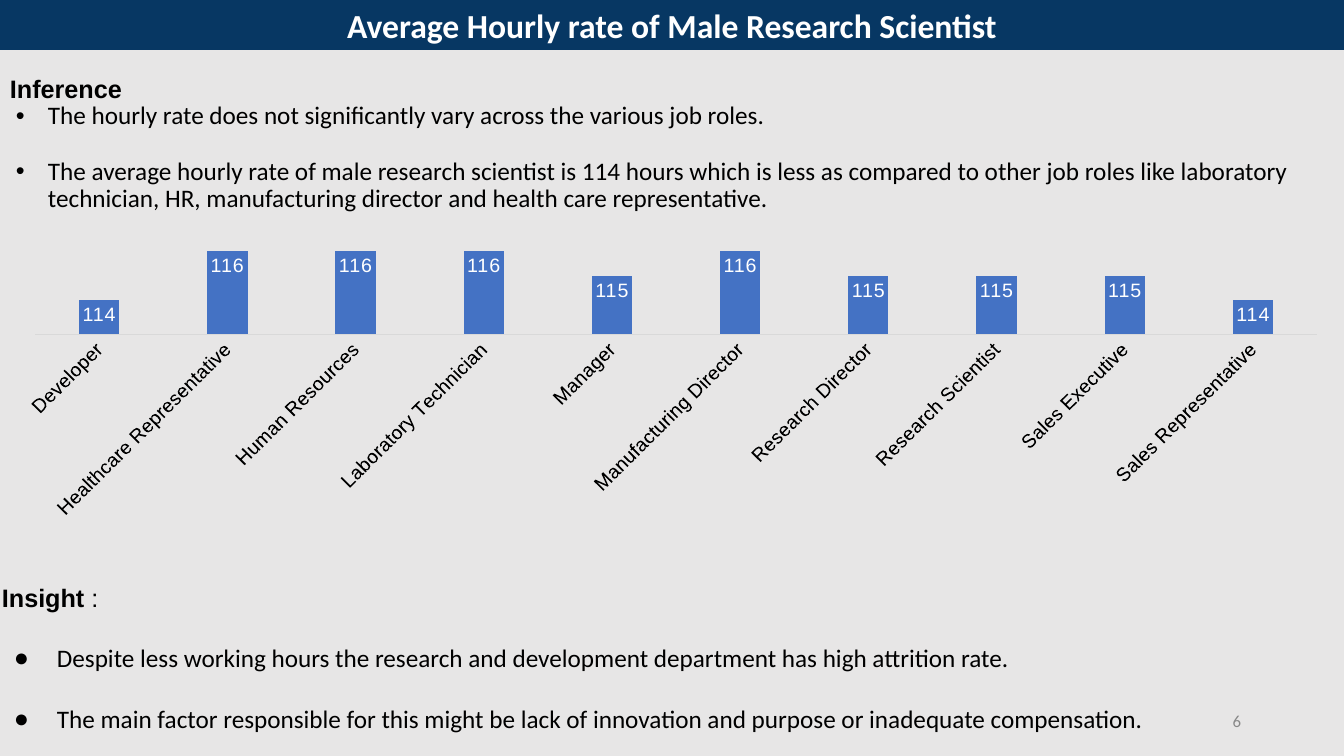
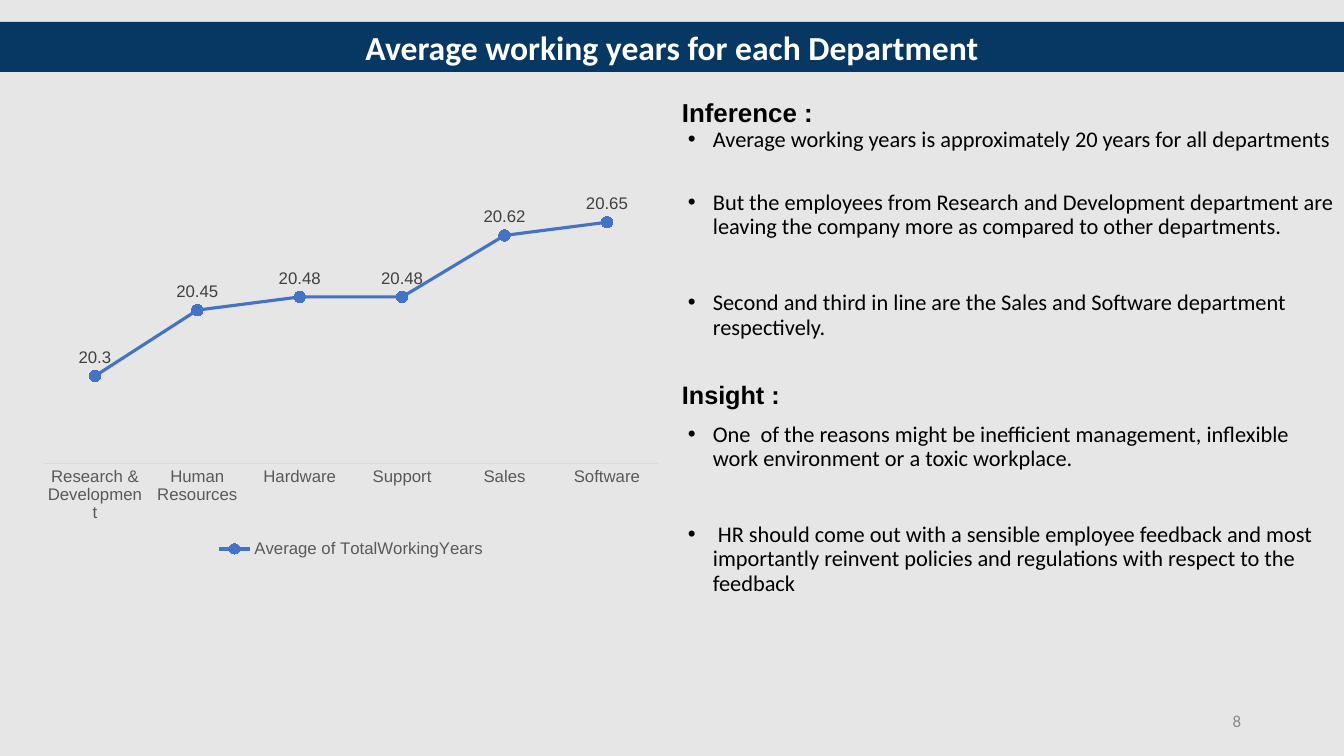
from pptx import Presentation, util as u
from pptx.chart.data import CategoryChartData
from pptx.dml.color import RGBColor
from pptx.enum import chart as c, text as t
from pptx.oxml.ns import qn
from lxml import etree

EMU_PER_PX = 914400 / 100.8
WIDTH, HEIGHT = 1344, 756
BAND_HEIGHT = 50

BACKGROUND = RGBColor(0xE7, 0xE6, 0xE6)
NAVY = RGBColor(0x07, 0x37, 0x63)
BLUE = RGBColor(0x44, 0x72, 0xC4)
WHITE = RGBColor(0xFF, 0xFF, 0xFF)
BLACK = RGBColor(0, 0, 0)
AXIS_LINE = RGBColor(0xD9, 0xD9, 0xD9)
LABEL_GRAY = RGBColor(0x59, 0x59, 0x59)
VALUE_GRAY = RGBColor(0x40, 0x40, 0x40)
NUMBER_GRAY = RGBColor(0x88, 0x88, 0x88)


def px(*lengths):
    return [u.Emu(round(length * EMU_PER_PX)) for length in lengths]


def write(frame, content, size, name="Calibri", color=BLACK, bold=False, tail="",
          align=t.PP_ALIGN.LEFT, spacing=1.0, before=0, bullet=None, indent=(0, 0)):
    """Add a paragraph; tail follows in regular weight, indent is (text, bullet) in px."""
    paragraph = frame.paragraphs[0]
    if paragraph.runs:
        paragraph = frame.add_paragraph()
    if bullet:
        text_left, bullet_left = px(*indent)
        properties = paragraph._p.get_or_add_pPr()
        properties.set("marL", str(text_left))
        properties.set("indent", str(bullet_left - text_left))
        bullet_color = etree.SubElement(properties, qn("a:buClr"))
        etree.SubElement(bullet_color, qn("a:srgbClr"), val=str(color))
        etree.SubElement(properties, qn("a:buFont"), typeface="Arial")
        etree.SubElement(properties, qn("a:buChar"), char=bullet)
    paragraph.alignment = align
    paragraph.line_spacing = spacing
    paragraph.space_before = u.Pt(before)
    for part, weight in ((content, bold), (tail, False)):
        if part:
            run = paragraph.add_run()
            run.text = part
            run.font.size, run.font.name, run.font.bold = u.Pt(size), name, weight
            run.font.color.rgb = color


HEADING = dict(size=18, name="Arial", bold=True)
RATE_BULLET = dict(size=18, spacing=0.9, bullet="•", indent=(38, 6))
WIDE_BULLET = dict(size=18, spacing=2.0, bullet="●", indent=(55, 12))
YEARS_BULLET = dict(size=16, spacing=0.9, bullet="•", indent=(31, 6))

SLIDES = [
    dict(
        title="Average Hourly rate of Male Research Scientist", band_top=0, number="6",
        chart_type=c.XL_CHART_TYPE.COLUMN_CLUSTERED, chart_box=(0, 241, 1344, 278),
        series="Series 1", scale=(112.6, 116.2), number_format="0",
        values={"Developer": 114, "Healthcare Representative": 116, "Human Resources": 116,
                "Laboratory Technician": 116, "Manager": 115, "Manufacturing Director": 116,
                "Research Director": 115, "Research Scientist": 115,
                "Sales Executive": 115, "Sales Representative": 114},
        font_size=14, axis_color=BLACK, label_color=WHITE,
        label_position=c.XL_LABEL_POSITION.INSIDE_END,
        texts=[
            ((0, 68, 1344, 153), [
                ("Inference", HEADING),
                ("The hourly rate does not significantly vary across the various job roles.",
                 RATE_BULLET),
                ("The average hourly rate of male research scientist is 114 hours which is less "
                 "as compared to other job roles like laboratory technician, HR, manufacturing "
                 "director and health care representative.", RATE_BULLET | dict(before=20)),
            ]),
            ((-8, 547, 1344, 163), [
                ("Insight", HEADING | dict(tail=" :", spacing=2.0)),
                ("Despite less working hours the research and development department has high "
                 "attrition rate.", WIDE_BULLET),
                ("The main factor responsible for this might be lack of innovation and purpose "
                 "or inadequate compensation.", WIDE_BULLET),
            ]),
        ],
    ),
    dict(
        title="Average working years for each Department", band_top=22, number="8",
        chart_type=c.XL_CHART_TYPE.LINE_MARKERS, chart_box=(31, 193, 640, 369),
        series="Average of TotalWorkingYears", scale=(20.1, 20.7), number_format="General",
        values={"Research & Development": 20.3, "Human Resources": 20.45, "Hardware": 20.48,
                "Support": 20.48, "Sales": 20.62, "Software": 20.65},
        font_size=12, axis_color=LABEL_GRAY, label_color=VALUE_GRAY,
        label_position=c.XL_LABEL_POSITION.ABOVE,
        texts=[
            ((672, 92, 672, 553), [
                ("Inference :", HEADING | dict(size=18.5)),
                ("Average working years is approximately 20 years for all departments",
                 YEARS_BULLET),
                ("But the employees from Research and Development department are leaving the "
                 "company more as compared to other departments.",
                 YEARS_BULLET | dict(before=28)),
                ("Second and third in line are the Sales and Software department respectively.",
                 YEARS_BULLET | dict(before=37)),
                ("Insight :", HEADING | dict(before=28)),
                ("One  of the reasons might be inefficient management, inflexible work "
                 "environment or a toxic workplace.", YEARS_BULLET | dict(before=10)),
                (" HR should come out with a sensible employee feedback and most importantly "
                 "reinvent policies and regulations with respect to the feedback",
                 YEARS_BULLET | dict(before=37)),
            ]),
        ],
    ),
]

presentation = Presentation()
presentation.slide_width, presentation.slide_height = px(WIDTH, HEIGHT)
master_fill = presentation.slide_master.background.fill
master_fill.solid()
master_fill.fore_color.rgb = BACKGROUND
title_only = presentation.slide_layouts[5]

for content in SLIDES:
    slide = presentation.slides.add_slide(title_only)

    title = slide.shapes.title
    title.left, title.top, title.width, title.height = px(
        0, content["band_top"], WIDTH, BAND_HEIGHT)
    title.fill.solid()
    title.fill.fore_color.rgb = NAVY
    title.text_frame.auto_size = t.MSO_AUTO_SIZE.NONE
    title.text_frame.vertical_anchor = t.MSO_ANCHOR.MIDDLE
    write(title.text_frame, content["title"], size=24, color=WHITE, bold=True,
          align=t.PP_ALIGN.CENTER)

    chart_data = CategoryChartData(number_format=content["number_format"])
    chart_data.categories = list(content["values"])
    chart_data.add_series(content["series"], list(content["values"].values()))
    chart = slide.shapes.add_chart(
        content["chart_type"], *px(*content["chart_box"]), chart_data).chart
    chart.has_title = False
    chart.has_legend = False
    chart.font.size, chart.font.name = u.Pt(content["font_size"]), "Arial"
    chart.font.color.rgb = content["axis_color"]

    value_axis = chart.value_axis
    value_axis.visible = False
    value_axis.has_major_gridlines = False
    value_axis.minimum_scale, value_axis.maximum_scale = content["scale"]
    category_axis = chart.category_axis
    category_axis.major_tick_mark = c.XL_TICK_MARK.NONE
    category_axis.format.line.color.rgb = AXIS_LINE
    category_axis.format.line.width = u.Pt(0.75)
    axis_font = category_axis.tick_labels.font
    axis_font.size, axis_font.name = u.Pt(content["font_size"]), "Arial"
    axis_font.color.rgb = content["axis_color"]

    plot = chart.plots[0]
    plot.vary_by_categories = False
    plot.has_data_labels = True
    labels = plot.data_labels
    labels.show_value = True
    labels.position = content["label_position"]
    labels.number_format = content["number_format"]
    labels.number_format_is_linked = False
    labels.font.size, labels.font.name = u.Pt(content["font_size"]), "Arial"
    labels.font.color.rgb = content["label_color"]

    series = plot.series[0]
    if content["chart_type"] == c.XL_CHART_TYPE.COLUMN_CLUSTERED:
        plot.gap_width, plot.overlap = 219, -27
        series.format.fill.solid()
        series.format.fill.fore_color.rgb = BLUE
        category_axis._element.find(qn("c:txPr")).find(qn("a:bodyPr")).set("rot", "-2700000")
    else:
        series.smooth = False
        series.format.line.color.rgb = BLUE
        series.format.line.width = u.Pt(2.25)
        series.marker.style, series.marker.size = c.XL_MARKER_STYLE.CIRCLE, 8
        series.marker.format.fill.solid()
        series.marker.format.fill.fore_color.rgb = BLUE
        series.marker.format.line.color.rgb = BLUE
        chart.has_legend = True
        chart.legend.position = c.XL_LEGEND_POSITION.BOTTOM
        chart.legend.include_in_layout = False
        chart.legend.font.size, chart.legend.font.name = u.Pt(12), "Arial"
        chart.legend.font.color.rgb = LABEL_GRAY

    for box, paragraphs in content["texts"]:
        frame = slide.shapes.add_textbox(*px(*box)).text_frame
        frame.word_wrap = True
        for words, text_format in paragraphs:
            write(frame, words, **text_format)

    number_frame = slide.shapes.add_textbox(*px(949, 701, 302, 40)).text_frame
    number_frame.word_wrap = True
    number_frame.vertical_anchor = t.MSO_ANCHOR.MIDDLE
    write(number_frame, content["number"], size=12, color=NUMBER_GRAY, align=t.PP_ALIGN.RIGHT)

presentation.save("out.pptx")
